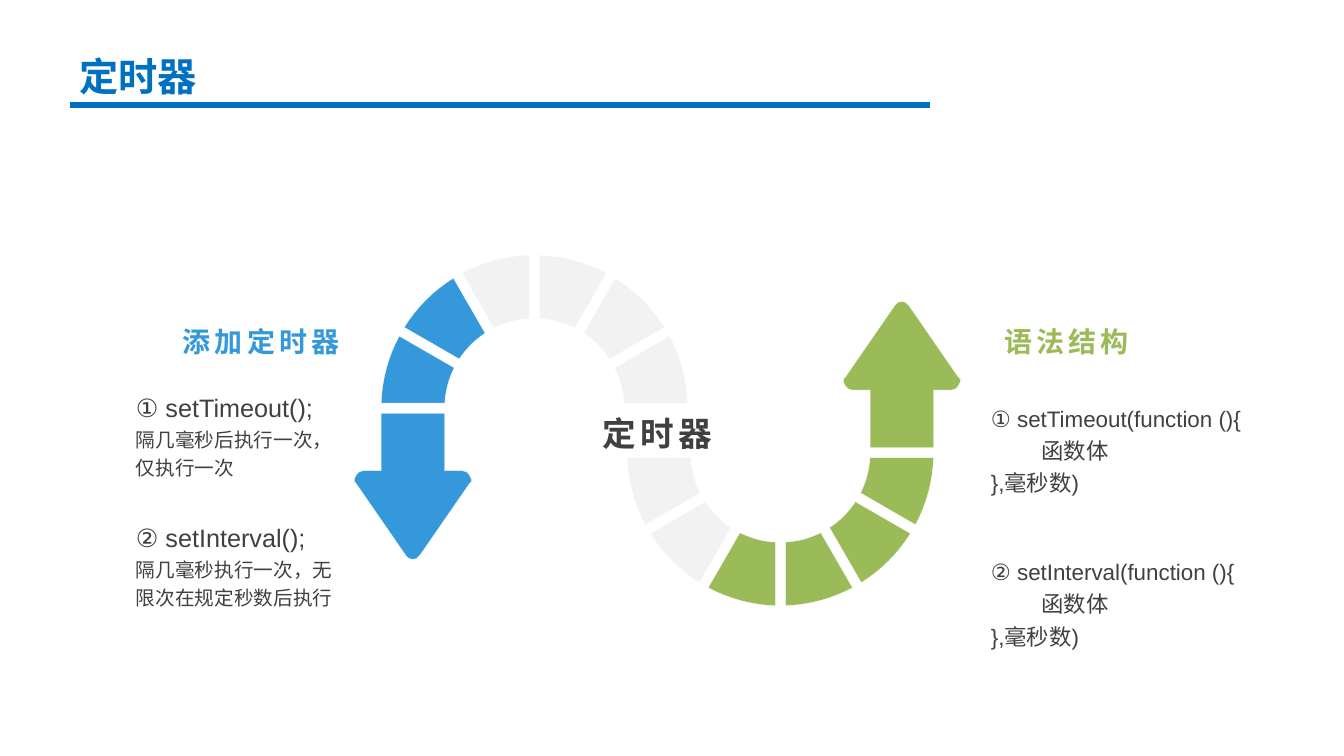
from dataclasses import dataclass
from math import asin, cos, pi, sin

from pptx import Presentation
from pptx.dml.color import RGBColor
from pptx.enum.shapes import MSO_CONNECTOR
from pptx.enum.text import MSO_ANCHOR, MSO_AUTO_SIZE, PP_ALIGN
from pptx.oxml.ns import qn
from pptx.shapes.autoshape import Shape
from pptx.slide import Slide
from pptx.text.text import TextFrame
from pptx.util import Pt

PX = 9144  # EMU per px, 100 px to the inch
Point = tuple[float, float]


@dataclass(frozen=True)
class Theme:
    title: str = "0070C0"
    blue: str = "3498DB"
    green: str = "9BBB59"
    pale: str = "F2F2F2"
    text: str = "404040"
    white: str = "FFFFFF"
    latin: str = "Arial"
    chinese: str = "Noto Sans CJK SC"
    title_size: int = 28
    center_size: int = 24
    heading_size: int = 20
    function_size: int = 18
    syntax_size: int = 16
    note_size: int = 14


THEME = Theme()


@dataclass(frozen=True)
class Box:
    left: int
    top: int
    width: int
    height: int


@dataclass(frozen=True)
class Line:
    text: str
    size: int


@dataclass(frozen=True)
class Heading:
    box: Box
    line: Line
    color: str
    align: PP_ALIGN
    anchor: MSO_ANCHOR = MSO_ANCHOR.BOTTOM
    spacing: float = 1.2


@dataclass(frozen=True)
class Body:
    box: Box
    lines: tuple[Line, ...]


@dataclass(frozen=True)
class Arch:
    """Half ring; direction is -1 when it bulges up and 1 when it bulges down."""
    center_x: int
    center_y: int
    direction: int
    colors: tuple[str, ...]


@dataclass(frozen=True)
class Arrow:
    center_x: float
    base_y: int
    direction: int
    color: str


OUTER, INNER, HALF_GAP, ARC_STEPS = 152, 89, 5, 8
BAND_MIDDLE, BAND_HALF = (OUTER + INNER) / 2, (OUTER - INNER) / 2
# Right half of an arrow, as distances from its axis and its base.
ARROW_HALF = ((BAND_HALF, 0), (BAND_HALF, 57), (49, 57), (53, 58), (56, 61),
              (58, 65), (58, 68), (56, 70), (7, 141), (4, 144), (0, 145))

ARCHES = (
    Arch(530, 405, -1, (THEME.blue,) * 2 + (THEME.pale,) * 4),
    Arch(774, 449, 1, (THEME.pale,) * 2 + (THEME.green,) * 4),
)
ARROWS = (
    Arrow(530 - BAND_MIDDLE, 410, 1, THEME.blue),
    Arrow(774 + BAND_MIDDLE, 444, -1, THEME.green),
)
HEADINGS = (
    Heading(Box(481, 400, 342, 55), Line("定时器", THEME.center_size), THEME.text,
            PP_ALIGN.CENTER, MSO_ANCHOR.MIDDLE, 1.1),
    Heading(Box(114, 305, 233, 55), Line("添加定时器", THEME.heading_size), THEME.blue, PP_ALIGN.RIGHT),
    Heading(Box(986, 305, 177, 55), Line("语法结构", THEME.heading_size), THEME.green, PP_ALIGN.LEFT),
)


def usage(top: int, call: str, note: str) -> Body:
    return Body(Box(125, top, 221, 103),
                (Line(call, THEME.function_size), Line(note, THEME.note_size)))


def syntax(top: int, opening: str) -> Body:
    return Body(Box(973, top, 275, 107),
                tuple(Line(text, THEME.syntax_size) for text in (opening, "\t函数体", "},毫秒数)")))


BODIES = (
    usage(378, "① setTimeout();", "隔几毫秒后执行一次，仅执行一次"),
    usage(507, "② setInterval();", "隔几毫秒执行一次，无限次在规定秒数后执行"),
    syntax(391, "① setTimeout(function (){"),
    syntax(543, "② setInterval(function (){"),
)


def write_text(frame: TextFrame, lines: tuple[Line, ...], *, color: str = THEME.text,
               font_name: str = THEME.latin, bold: bool = False,
               align: PP_ALIGN = PP_ALIGN.LEFT, anchor: MSO_ANCHOR = MSO_ANCHOR.MIDDLE,
               line_spacing: float = 1.2, tracking: int = 0,
               auto_size: MSO_AUTO_SIZE = MSO_AUTO_SIZE.NONE) -> None:
    frame.word_wrap = True
    frame.auto_size = auto_size
    frame.vertical_anchor = anchor
    for index, line in enumerate(lines):
        paragraph = frame.add_paragraph() if index else frame.paragraphs[0]
        paragraph.alignment = align
        paragraph.line_spacing = line_spacing
        run = paragraph.add_run()
        run.text = line.text
        font = run.font
        font.size, font.bold, font.name = Pt(line.size), bold, font_name
        font.color.rgb = RGBColor.from_string(color)
        properties = run._r.get_or_add_rPr()
        if tracking:
            properties.set("spc", str(tracking * 100))
        east_asian = properties.makeelement(qn("a:ea"), {"typeface": THEME.chinese})
        properties.find(qn("a:latin")).addnext(east_asian)


def add_text(slide: Slide, box: Box) -> TextFrame:
    return slide.shapes.add_textbox(box.left * PX, box.top * PX, box.width * PX, box.height * PX).text_frame


def add_outline(slide: Slide, points: list[Point], color: str) -> Shape:
    (start_x, start_y), *others = [(round(x * PX), round(y * PX)) for x, y in points]
    builder = slide.shapes.build_freeform(start_x, start_y)
    builder.add_line_segments(others, close=True)
    shape = builder.convert_to_shape()
    shape.shadow.inherit = False
    shape.fill.solid()
    shape.fill.fore_color.rgb = RGBColor.from_string(color)
    shape.line.color.rgb = RGBColor.from_string(THEME.white)
    shape.line.width = Pt(0.25)
    return shape


def add_arch(slide: Slide, arch: Arch) -> None:
    """Draw equal segments from left to right, parted by gaps of constant width."""
    sweep = pi / len(arch.colors)

    def arc(radius: int, index: int) -> list[Point]:
        trim = asin(HALF_GAP / radius)
        start, span = index * sweep + trim, sweep - 2 * trim
        angles = [start + span * step / ARC_STEPS for step in range(ARC_STEPS + 1)]
        return [(arch.center_x - radius * cos(angle),
                 arch.center_y + arch.direction * radius * sin(angle)) for angle in angles]

    for index, color in enumerate(arch.colors):
        add_outline(slide, arc(OUTER, index) + arc(INNER, index)[::-1], color)


def add_arrow(slide: Slide, arrow: Arrow) -> None:
    mirrored = [(-x, y) for x, y in ARROW_HALF[-2::-1]]
    points = [(arrow.center_x + x, arrow.base_y + arrow.direction * y)
              for x, y in [*ARROW_HALF, *mirrored]]
    add_outline(slide, points, arrow.color)


def add_title(slide: Slide) -> None:
    rule = slide.shapes.add_connector(MSO_CONNECTOR.STRAIGHT, 69 * PX, 104 * PX, 922 * PX, 104 * PX)
    rule.line.color.rgb = RGBColor.from_string(THEME.title)
    rule.line.width = Pt(4.5)
    properties = rule._element.spPr
    properties.append(properties.makeelement(qn("a:effectLst"), {}))
    title = slide.shapes.title
    title.left, title.top, title.width, title.height = 69 * PX, 47 * PX, 260 * PX, 57 * PX
    write_text(title.text_frame, (Line("定时器", THEME.title_size),), color=THEME.title, bold=True,
               align=PP_ALIGN.JUSTIFY, anchor=MSO_ANCHOR.TOP, line_spacing=1.0)


def main() -> None:
    presentation = Presentation()
    presentation.slide_width, presentation.slide_height = 1333 * PX, 750 * PX
    slide = presentation.slides.add_slide(presentation.slide_layouts.get_by_name("Title Only"))
    add_title(slide)
    for arrow in ARROWS:
        add_arrow(slide, arrow)
    for arch in ARCHES:
        add_arch(slide, arch)
    for heading in HEADINGS:
        write_text(add_text(slide, heading.box), (heading.line,), color=heading.color,
                   font_name=THEME.chinese, bold=True, align=heading.align,
                   anchor=heading.anchor, line_spacing=heading.spacing, tracking=3)
    for body in BODIES:
        write_text(add_text(slide, body.box), body.lines, auto_size=MSO_AUTO_SIZE.SHAPE_TO_FIT_TEXT)
    presentation.save("out.pptx")


if __name__ == "__main__":
    main()
